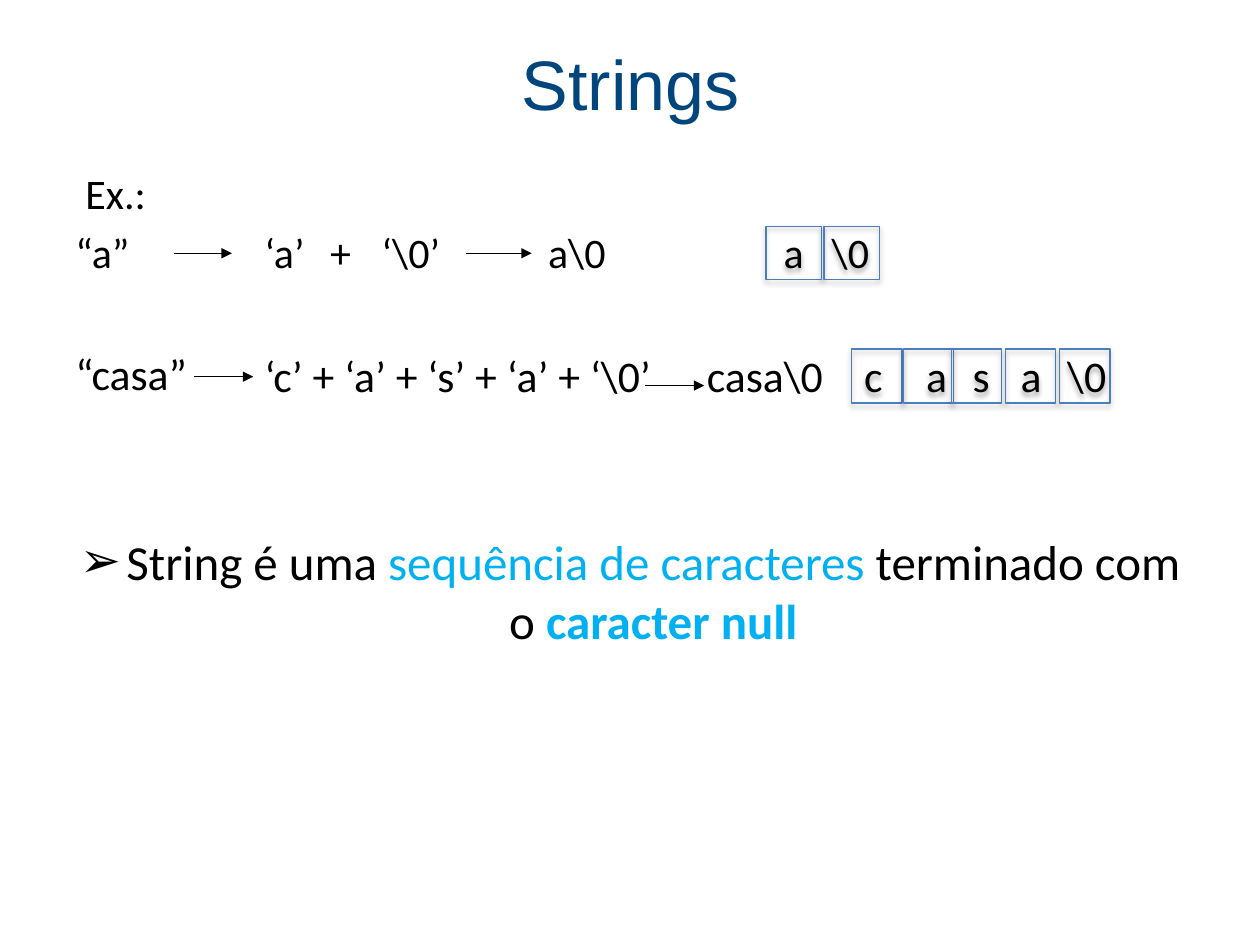
from lxml import etree
from pptx import Presentation
from pptx.dml.color import RGBColor
from pptx.enum.shapes import MSO_CONNECTOR, MSO_SHAPE
from pptx.enum.text import MSO_ANCHOR, PP_ALIGN
from pptx.oxml.ns import qn
from pptx.util import Inches, Pt

STRAIGHT = MSO_CONNECTOR.STRAIGHT
RECTANGLE = MSO_SHAPE.RECTANGLE
CENTER, LEFT = PP_ALIGN.CENTER, PP_ALIGN.LEFT
MIDDLE, TOP = MSO_ANCHOR.MIDDLE, MSO_ANCHOR.TOP

COLORS = {
    "title": "00457C",
    "text": "000000",
    "accent": "00B0F0",
    "cell": "4B7EBC",
}


def rgb(name):
    return RGBColor.from_string(COLORS[name])


def child(parent, tag, **attributes):
    values = {key: str(value) for key, value in attributes.items()}
    return etree.SubElement(parent, qn(tag), values)


def add_frame(slide, box, anchor):
    frame = slide.shapes.add_textbox(*map(Inches, box)).text_frame
    frame.word_wrap = True
    frame.vertical_anchor = anchor
    return frame


def set_margins(frame, left=0):
    frame.margin_left = Inches(left)
    frame.margin_right = frame.margin_top = frame.margin_bottom = 0


def add_run(paragraph, text, size, color="text", font="Calibri", bold=False):
    run = paragraph.add_run()
    run.text = text
    run.font.size = Pt(size)
    run.font.name = font
    run.font.bold = bold
    run.font.color.rgb = rgb(color)


def indent(paragraph, left, first=0):
    properties = paragraph._p.get_or_add_pPr()
    properties.set("marL", str(Inches(left)))
    properties.set("indent", str(Inches(first)))
    return properties


def add_title(slide, box):
    paragraph = add_frame(slide, box, MIDDLE).paragraphs[0]
    paragraph.alignment = CENTER
    add_run(paragraph, "Strings", 40, "title", "Arial")


def add_body(slide, box):
    frame = add_frame(slide, box, TOP)
    heading = frame.paragraphs[0]
    indent(heading, 0.08)
    add_run(heading, "Ex.:", 24)

    # String literals that start the two examples
    for literal, size, space_before in (("“a”", 24, 4.8), ("“casa”", 25, 40)):
        paragraph = frame.add_paragraph()
        paragraph.space_before = Pt(space_before)
        add_run(paragraph, literal, size)

    # Definition
    definition = frame.add_paragraph()
    definition.alignment = CENTER
    definition.space_before = Pt(75.5)
    properties = indent(definition, 0.37, -0.37)
    child(properties, "a:buFont", typeface="Arial")
    child(properties, "a:buChar", char="➢")
    add_run(definition, "String é uma ", 28)
    add_run(definition, "sequência de caracteres ", 28, "accent")
    add_run(definition, "terminado com o ", 28)
    add_run(definition, "caracter null", 28, "accent", bold=True)


def add_terms(slide, terms, top, height, size):
    for text, left, width in terms:
        frame = add_frame(slide, (left, top, width, height), TOP)
        set_margins(frame)
        add_run(frame.paragraphs[0], text, size)


def add_arrow(slide, left, right, y):
    arrow = slide.shapes.add_connector(
        STRAIGHT, Inches(left), Inches(y), Inches(right), Inches(y))
    arrow.line.color.rgb = rgb("text")
    arrow.line.width = Pt(0.75)
    child(arrow.line._get_or_add_ln(), "a:tailEnd", type="triangle")
    child(arrow._element.spPr, "a:effectLst")


def add_memory_cells(shapes, cells, top, width, height, size):
    for character, left, margin in cells:
        cell = shapes.add_shape(
            RECTANGLE, *map(Inches, (left, top, width, height)))
        cell.fill.background()
        cell.line.color.rgb = rgb("cell")
        cell.line.width = Pt(0.75)
        effects = child(cell._element.spPr, "a:effectLst")
        shadow = child(effects, "a:outerShdw", blurRad=Pt(3.1), dist=Pt(1.8),
                       dir=90 * 60000, rotWithShape=0)
        shade = child(shadow, "a:srgbClr", val=COLORS["text"])
        child(shade, "a:alpha", val=35000)

        frame = cell.text_frame
        frame.word_wrap = True
        frame.vertical_anchor = TOP
        set_margins(frame, margin)
        frame.paragraphs[0].alignment = LEFT
        add_run(frame.paragraphs[0], character, size)


def main():
    presentation = Presentation()
    presentation.slide_width = Inches(10)
    presentation.slide_height = Inches(7.5)
    slide = presentation.slides.add_slide(presentation.slide_layouts[6])

    add_body(slide, (0.5, 1.28, 9, 5.69))
    add_title(slide, (0.35, 0.03, 9.31, 1.25))

    # "a": terms, arrows and grouped memory cells
    add_terms(slide, [("‘a’", 2.1, 0.5), ("+", 2.62, 0.3),
                      ("‘\\0’", 3.03, 0.6), ("a\\0", 4.35, 0.7)],
              1.8, 0.42, 24)
    add_arrow(slide, 1.38, 1.84, 2.01)
    add_arrow(slide, 3.7, 4.22, 2.01)
    pair = slide.shapes.add_group_shape()
    add_memory_cells(pair.shapes, [("a", 6.08, 0.14), ("\\0", 6.54, 0.06)],
                     1.8, 0.44, 0.42, 24)

    # "casa": terms, memory cells and arrows
    add_terms(slide, [("‘c’ + ‘a’ + ‘s’ + ‘a’ + ‘\\0’", 2.1, 3.4),
                      ("casa\\0", 5.61, 1.1)], 2.77, 0.43, 25)
    add_memory_cells(slide.shapes,
                     [("c", 6.76, 0.1), ("a", 7.17, 0.18), ("s", 7.55, 0.17),
                      ("a", 7.98, 0.12), ("\\0", 8.41, 0.06)],
                     2.77, 0.4, 0.43, 25)
    add_arrow(slide, 1.54, 2.01, 2.99)
    add_arrow(slide, 5.12, 5.59, 3.06)

    presentation.save("out.pptx")


if __name__ == "__main__":
    main()
